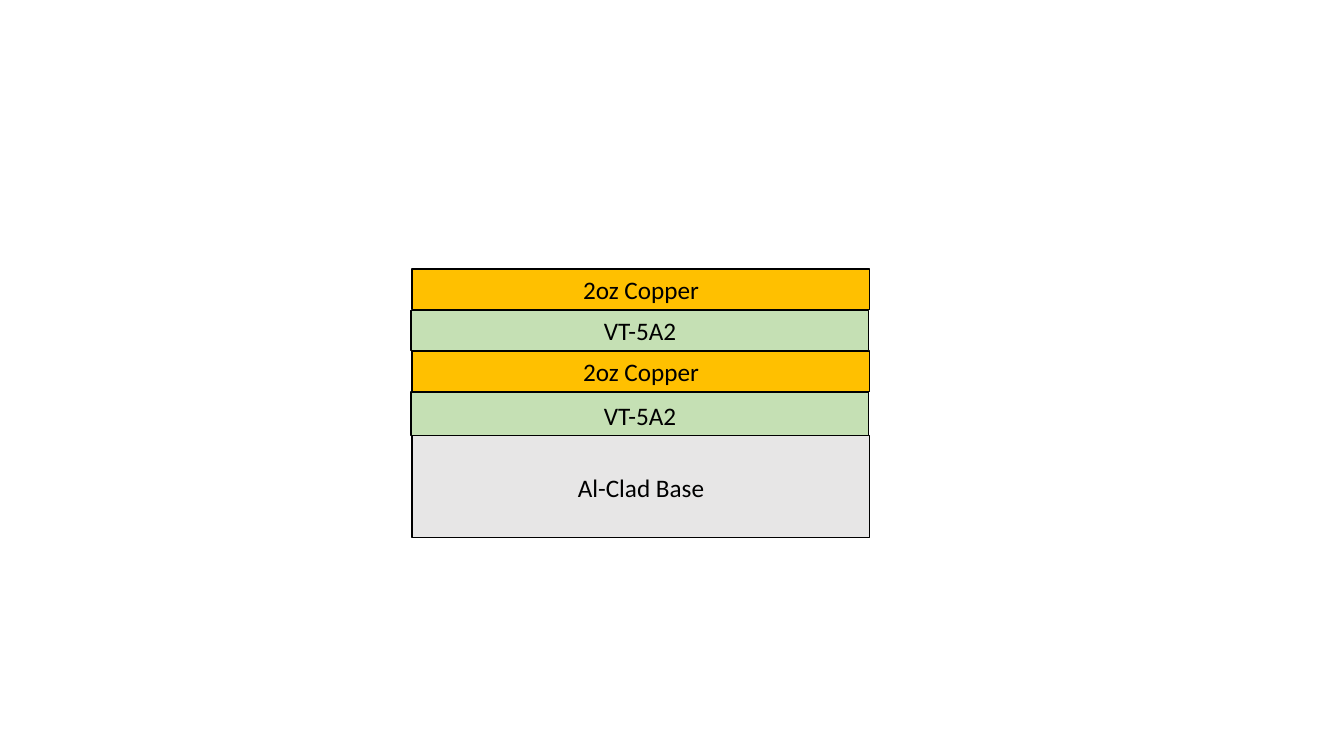
"""Draw the layer stack of an aluminium-clad circuit board."""
from pptx import Presentation
from pptx.dml.color import RGBColor
from pptx.enum import shapes, text
from pptx import util as u

BLACK = RGBColor(0x00, 0x00, 0x00)
COPPER = RGBColor(0xFF, 0xC0, 0x00)
DIELECTRIC = RGBColor(0xC5, 0xE0, 0xB4)
BASE = RGBColor(0xE7, 0xE6, 0xE6)

SLIDE_W, SLIDE_H = 1344, 756
STACK_BOTTOM, LAYER_W = 538, 458
LAYERS = [
    ("Al-Clad Base", BASE, 412, 102, 36),
    ("VT-5A2", DIELECTRIC, 411, 44, 8),
    ("2oz Copper", COPPER, 412, 41, 5),
    ("VT-5A2", DIELECTRIC, 411, 41, 5),
    ("2oz Copper", COPPER, 412, 41, 5),
]


def px(n):
    return u.Emu(round(n * 914400 / 100.8))


class Deck:
    font, size, line_width = "Calibri", u.Pt(18), u.Pt(0.75)

    def __init__(self):
        self.prs = Presentation()
        self.prs.slide_width, self.prs.slide_height = px(SLIDE_W), px(SLIDE_H)
        self.slide = self.prs.slides.add_slide(self.prs.slide_layouts[6])

    def layer(self, label, color, x, y, w, h, inset):
        sp = self.slide.shapes.add_shape(
            shapes.MSO_SHAPE.RECTANGLE, px(x), px(y), px(w), px(h))
        sp.shadow.inherit = False
        sp.fill.solid()
        sp.fill.fore_color.rgb = color
        sp.line.color.rgb = BLACK
        sp.line.width = self.line_width
        tf = sp.text_frame
        tf.word_wrap = True
        tf.vertical_anchor = text.MSO_ANCHOR.TOP
        tf.margin_top, tf.margin_bottom = px(inset), px(0)
        p = tf.paragraphs[0]
        p.text = label
        p.alignment = text.PP_ALIGN.CENTER
        p.font.name, p.font.size = self.font, self.size
        p.font.color.rgb = BLACK


def main():
    deck = Deck()
    y = STACK_BOTTOM
    for label, color, x, h, inset in LAYERS:
        y -= h
        deck.layer(label, color, x, y, LAYER_W, h, inset)
    deck.prs.save("out.pptx")


if __name__ == "__main__":
    main()
